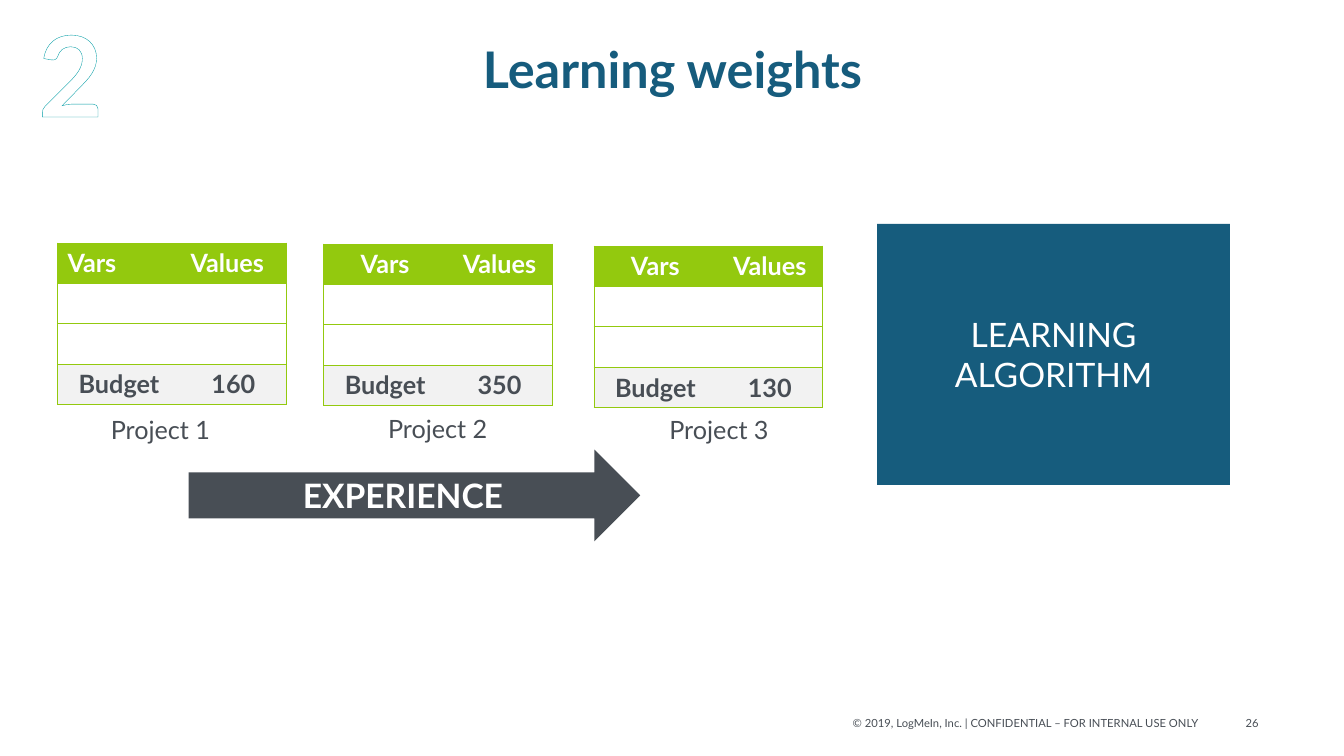
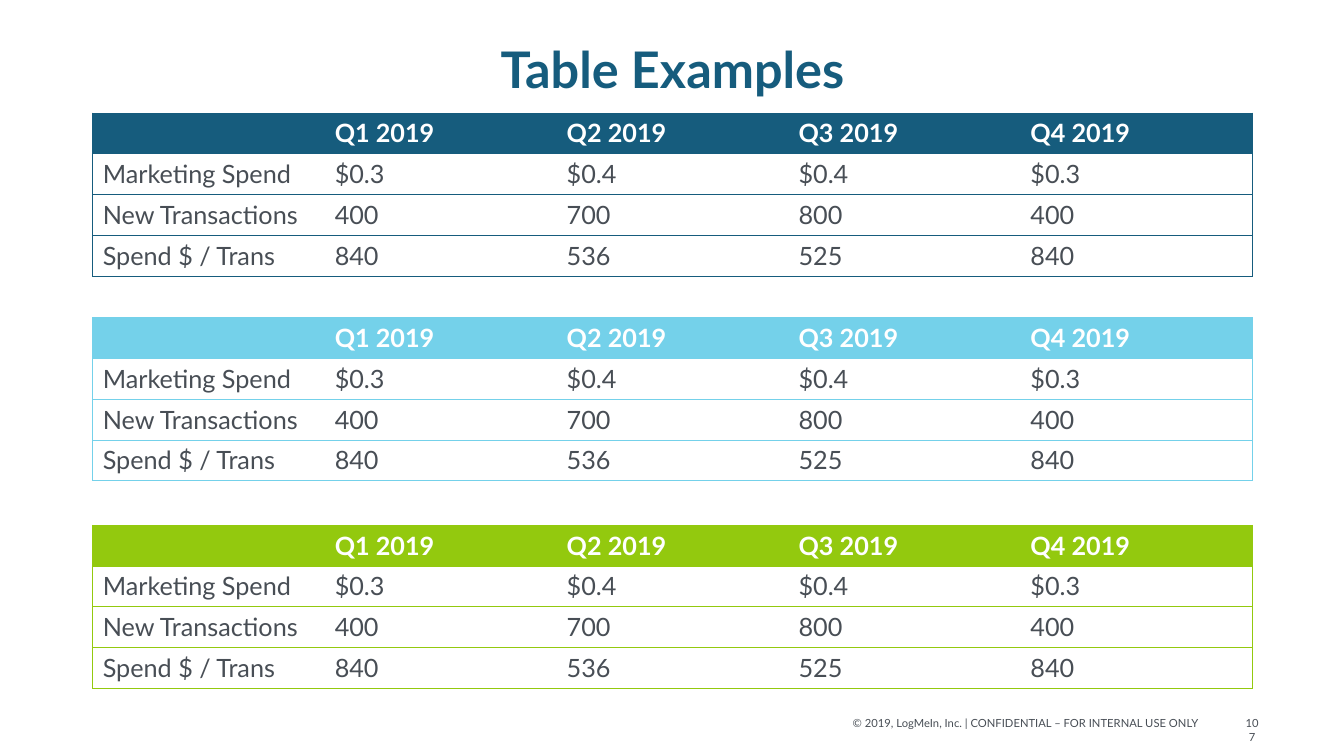
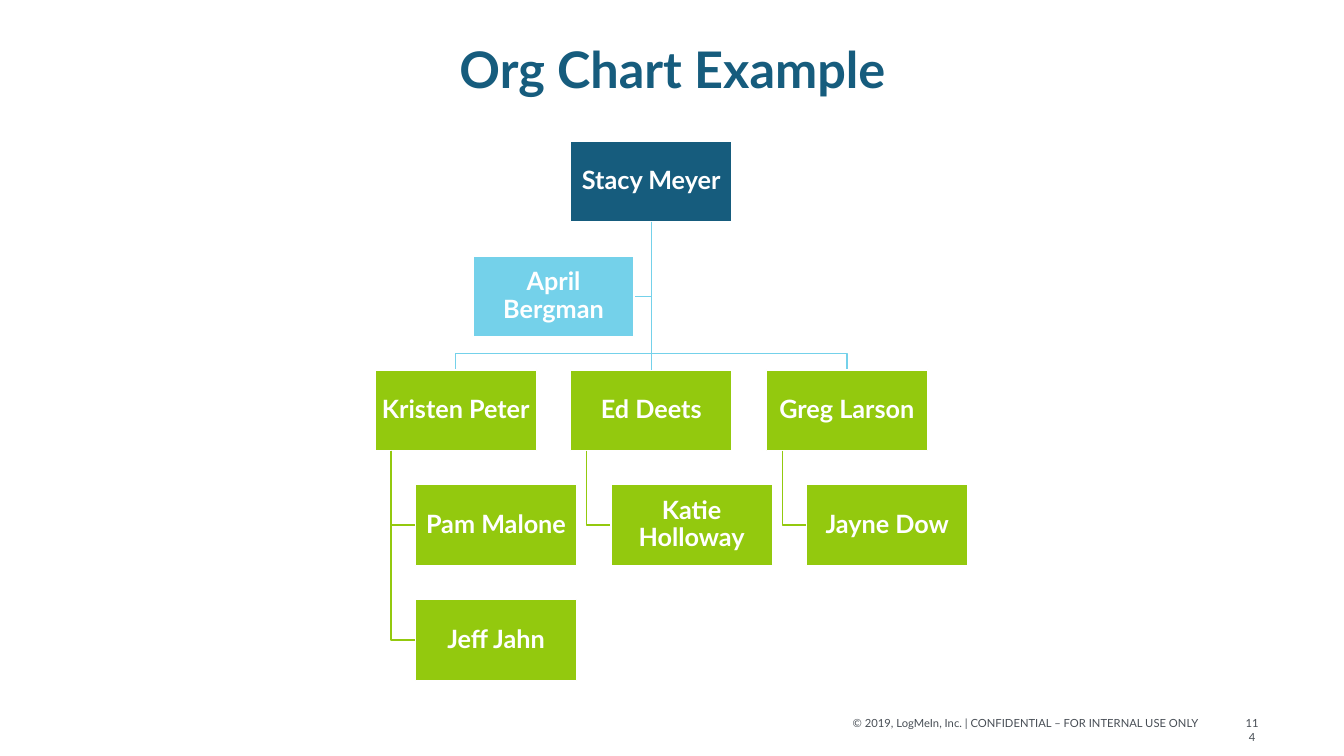
"""Build three slides: learning weights, table examples and an org chart."""
from dataclasses import dataclass

from lxml import etree
from pptx import Presentation
from pptx import util as u
from pptx.dml.color import RGBColor
from pptx.enum import shapes, text
from pptx.oxml import parse_xml
from pptx.oxml.ns import nsdecls, qn

PX = 9144
LEFT, CENTER, RIGHT = text.PP_ALIGN.LEFT, text.PP_ALIGN.CENTER, text.PP_ALIGN.RIGHT
TOP, MIDDLE = text.MSO_ANCHOR.TOP, text.MSO_ANCHOR.MIDDLE
PLAIN_TABLE = "{2D5ABB26-0587-4C30-8999-92F81FD0307C}"
FOOTER = "© 2019, LogMeIn, Inc. | CONFIDENTIAL – FOR INTERNAL USE ONLY"


@dataclass(frozen=True)
class Theme:
    """Colours, font and type sizes of the deck."""
    font: str = "Lato"
    navy: str = "165C7D"
    sky: str = "74D1EA"
    green: str = "93C90E"
    slate: str = "484E55"
    teal: str = "009CA5"
    leaf: str = "00B050"
    pale: str = "F2F2F2"
    white: str = "FFFFFF"
    small: int = 8
    body: int = 18
    large: int = 24
    title: int = 36
    numeral: int = 80


T = Theme()


def px(*values):
    """Turn px lengths into EMU."""
    return [u.Emu(round(v * PX)) for v in values]


def write(tf, words, size=T.body, color=T.slate, bold=False, align=LEFT,
          anchor=TOP, spacing=None, inset=None):
    """Put one formatted paragraph in a text frame and return its run."""
    tf.word_wrap = True
    tf.vertical_anchor = anchor
    if inset is not None:
        tf.margin_left = tf.margin_top = tf.margin_right = tf.margin_bottom = px(inset)[0]
    p = tf.paragraphs[0]
    p.alignment = align
    if spacing:
        p.line_spacing = spacing
    r = p.add_run()
    r.text = words
    r.font.name, r.font.size, r.font.bold = T.font, u.Pt(size), bold
    r.font.color.rgb = RGBColor.from_string(color)
    return r


def label(s, box, words, **fmt):
    """Add a text box and return its run."""
    return write(s.shapes.add_textbox(*px(*box)).text_frame, words, **fmt)


def block(s, box, words, fill, kind=shapes.MSO_SHAPE.RECTANGLE, line=None, **fmt):
    """Add a filled shape with centred text."""
    sp = s.shapes.add_shape(kind, *px(*box))
    sp.shadow.inherit = False
    sp.fill.solid()
    sp.fill.fore_color.rgb = RGBColor.from_string(fill)
    if line:
        stroke(sp, line)
    else:
        sp.line.fill.background()
    write(sp.text_frame, words, color=T.white, align=CENTER, anchor=MIDDLE, **fmt)
    return sp


def stroke(sp, color):
    """Give a shape or connector a one-point line."""
    sp.line.color.rgb = RGBColor.from_string(color)
    sp.line.width = u.Pt(1)


def bend(s, points, color):
    """Draw an open line through the given points."""
    pts = [tuple(px(*point)) for point in points]
    path = s.shapes.build_freeform(*pts[0], scale=1.0)
    path.add_line_segments(pts[1:], close=False)
    sp = path.convert_to_shape()
    sp.shadow.inherit = False
    sp.fill.background()
    stroke(sp, color)


def join(s, upper, lower, color):
    """Connect the bottom of one box to the top of another."""
    c = s.shapes.add_connector(shapes.MSO_CONNECTOR.STRAIGHT, 0, 0, 0, 0)
    c.begin_connect(upper, 2)
    c.end_connect(lower, 0)
    stroke(c, color)
    etree.SubElement(c._element.spPr, qn("a:effectLst"))


def outline(r, color, pattern, back):
    """Outline a run and fill it with light diagonals."""
    rpr = r._r.get_or_add_rPr()
    rpr.remove(rpr.find(qn("a:solidFill")))
    rpr.insert(0, parse_xml(
        f'<a:ln {nsdecls("a")} w="12700"><a:solidFill><a:srgbClr val="{color}"/>'
        '</a:solidFill></a:ln>'))
    rpr.insert(1, parse_xml(
        f'<a:pattFill {nsdecls("a")} prst="ltDnDiag"><a:fgClr><a:srgbClr val="{pattern}"/>'
        f'</a:fgClr><a:bgClr><a:srgbClr val="{back}"/></a:bgClr></a:pattFill>'))


def rule(cell, sides, color):
    """Draw half-point borders on the given sides of a cell."""
    for side in sides:
        cell._tc.get_or_add_tcPr().append(parse_xml(
            f'<a:ln{side} {nsdecls("a")} w="6350"><a:solidFill>'
            f'<a:srgbClr val="{color}"/></a:solidFill></a:ln{side}>'))


def grid(s, left, top, widths, height, rows, color, style):
    """Add a ruled table; style(row, column) gives the format of body cells."""
    frame = s.shapes.add_table(len(rows), len(widths), *px(left, top, sum(widths), height))
    tb = frame.table
    tb.horz_banding = False
    tb._tbl.tblPr.find(qn("a:tableStyleId")).text = PLAIN_TABLE
    for col, width in zip(tb.columns, px(*widths)):
        col.width = width
    for i, row in enumerate(rows):
        tb.rows[i].height = px(height / len(rows))[0]
        for j, words in enumerate(row):
            cell = tb.cell(i, j)
            sides = (["L"] if j == 0 else []) + (["R"] if j == len(row) - 1 else [])
            rule(cell, sides + ["T", "B"], color)
            fmt = style(i, j)
            cell.fill.solid()
            cell.fill.fore_color.rgb = RGBColor.from_string(fmt.pop("fill"))
            cell.vertical_anchor = fmt.pop("anchor", TOP)
            if words:
                write_cell(cell, words, fmt)


def write_cell(cell, words, fmt):
    """Write a table cell without changing its anchor."""
    write(cell.text_frame, words, anchor=cell.vertical_anchor, **fmt)


def new_slide(prs, title, number):
    """Add a blank slide with the shared title and footer."""
    s = prs.slides.add_slide(prs.slide_layouts[6])
    label(s, (1225, 706, 34, 24), number, size=T.small, align=CENTER)
    label(s, (835, 706, 364, 24), FOOTER, size=T.small, align=RIGHT)
    label(s, (92, 40, 1150, 129), title, size=T.title, color=T.navy, bold=True,
          align=CENTER, spacing=0.9)
    return s


def learning_slide(prs):
    """Show three projects feeding a learning algorithm."""
    s = new_slide(prs, "Learning weights", "26")
    projects = [("Project 1", "160", 57, 241, 100, 406, LEFT),
                ("Project 2", "350", 321, 242, 375, 405, CENTER),
                ("Project 3", "130", 589, 244, 654, 406, CENTER)]
    for name, budget, left, top, name_left, name_top, head_align in projects:
        def style(i, j, align=head_align):
            """Format the header, empty and budget rows."""
            if i == 0:
                return dict(fill=T.green, color=T.white, bold=True, align=align, anchor=MIDDLE)
            return dict(fill=T.pale if i == 3 else T.white, bold=True, align=CENTER,
                        anchor=MIDDLE)
        rows = [("Vars", "Values"), ("", ""), ("", ""), ("Budget", budget)]
        grid(s, left, top, (122, 105), 160, rows, T.green, style)
        label(s, (name_left, name_top, 205, 40), name)
    block(s, (187, 446, 448, 91), "EXPERIENCE", T.slate,
          kind=shapes.MSO_SHAPE.RIGHT_ARROW, size=T.large, bold=True)
    block(s, (870, 222, 350, 259), "LEARNING ALGORITHM", T.navy, size=T.large)
    numeral = label(s, (28, 0, 83, 145), "2", size=T.numeral, bold=True, align=CENTER)
    outline(numeral, T.teal, T.leaf, T.white)


def tables_slide(prs):
    """Show the same quarterly table in three colours."""
    s = new_slide(prs, "Table Examples", "107")
    rows = [("", "Q1 2019", "Q2 2019", "Q3 2019", "Q4 2019"),
            ("Marketing Spend", "$0.3", "$0.4", "$0.4", "$0.3"),
            ("New Transactions", "400", "700", "800", "400"),
            ("Spend $ / Trans", "840", "536", "525", "840")]
    for top, accent in ((112, T.navy), (315, T.sky), (521, T.green)):
        def style(i, j, accent=accent):
            """Format the header and body rows."""
            return dict(fill=accent, color=T.white, bold=True) if i == 0 else dict(fill=T.white)
        grid(s, 92, top, [230] * 5, 162, rows, accent, style)


def org_slide(prs):
    """Show a manager, an assistant and three teams."""
    s = new_slide(prs, "Org Chart Example", "114")
    width, height, step = 160, 80, 194
    levels = [140, 254, 367, 481, 595]
    first, indent, drop, bus = 372, 40, 16, 351
    teams = [("Kristen Peter", ["Pam Malone", "Jeff Jahn"]),
             ("Ed Deets", ["Katie Holloway"]),
             ("Greg Larson", ["Jayne Dow"])]
    middle = first + step + width // 2
    root_bottom = levels[0] + height
    helper_left, helper_mid = 469, levels[1] + height // 2

    def person(left, level, name, fill):
        """Add one box of the chart."""
        return block(s, (left, levels[level], width, height), name, fill, line=T.white,
                     bold=True, spacing=0.9, inset=1)

    bend(s, [(middle, root_bottom), (middle, helper_mid), (helper_left + width, helper_mid)],
         T.sky)
    root = person(first + step, 0, "Stacy Meyer", T.navy)
    person(helper_left, 1, "April Bergman", T.sky)
    for k, (lead, members) in enumerate(teams):
        left = first + k * step
        center = left + width // 2
        if center != middle:
            bend(s, [(middle, root_bottom), (middle, bus), (center, bus), (center, levels[2])],
                 T.sky)
        box = person(left, 2, lead, T.green)
        if center == middle:
            join(s, root, box, T.sky)
        for level, name in enumerate(members, 3):
            mid = levels[level] + height // 2
            bend(s, [(left + drop, levels[2] + height), (left + drop, mid),
                     (left + indent, mid)], T.green)
            person(left + indent, level, name, T.green)


def main():
    """Build and save the deck."""
    prs = Presentation()
    prs.slide_width, prs.slide_height = px(1333, 750)
    learning_slide(prs)
    tables_slide(prs)
    org_slide(prs)
    prs.save("out.pptx")


if __name__ == "__main__":
    main()
